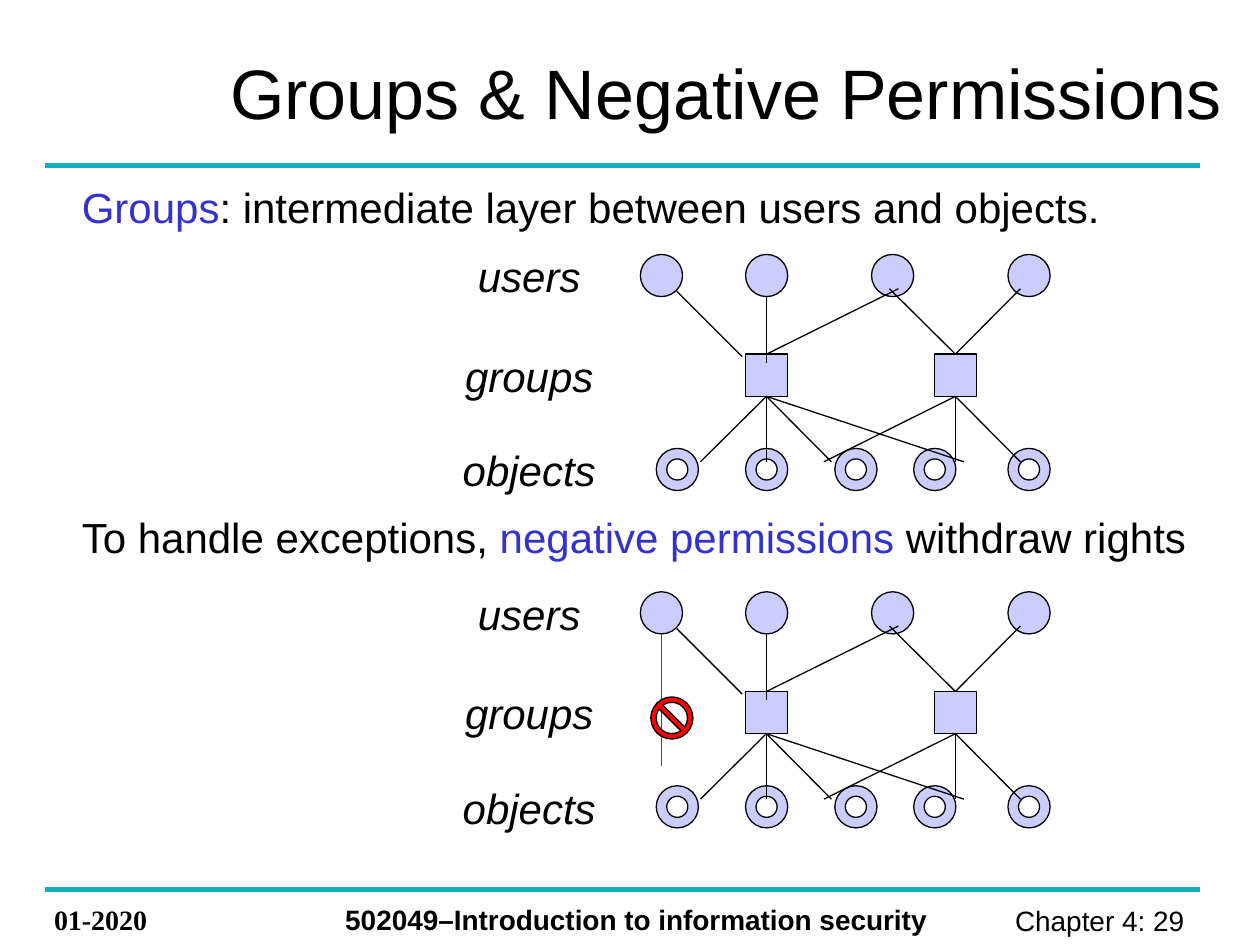
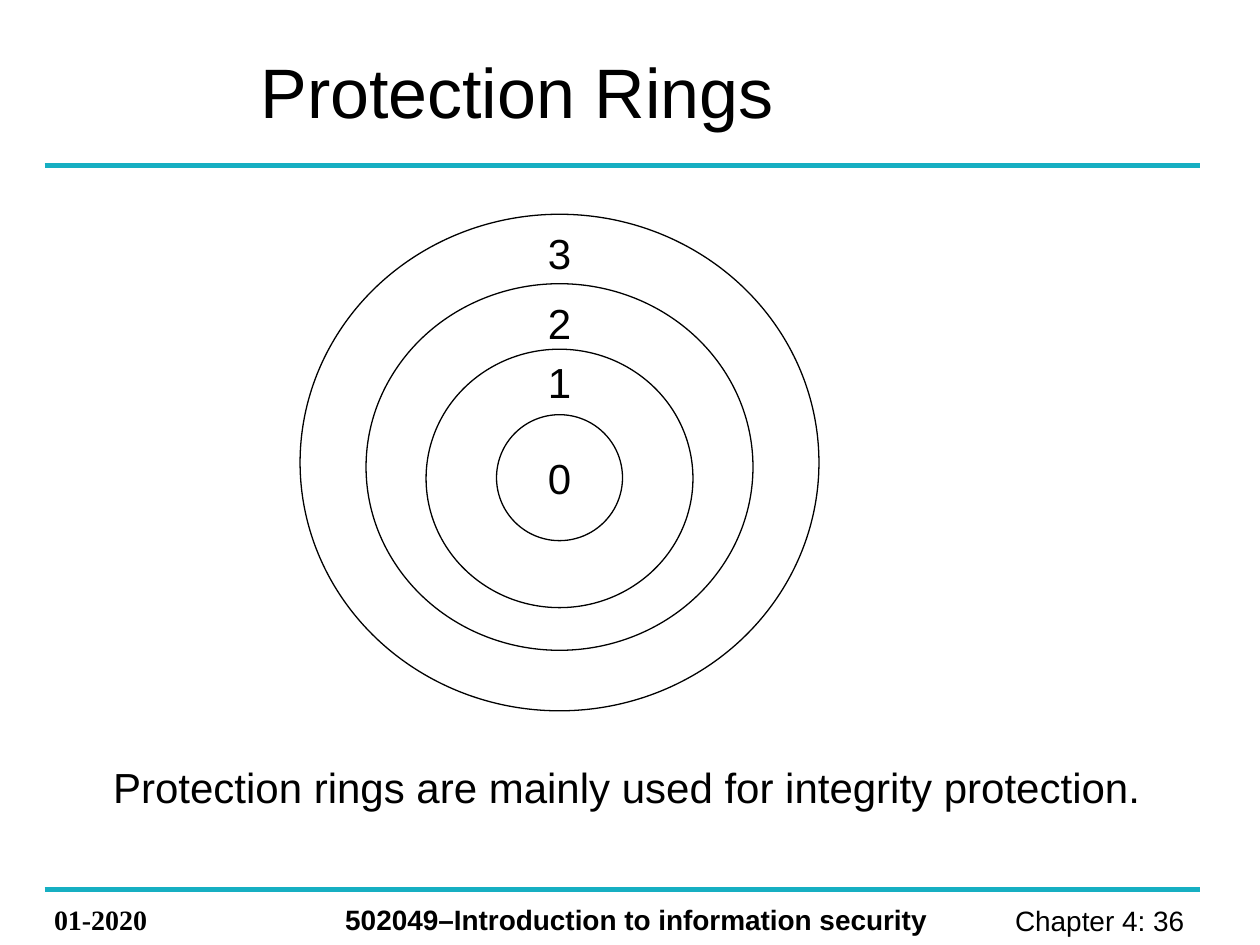
"""Builds two lecture slides on permission groups and protection rings."""
from pptx import Presentation, util as u
from pptx.dml import color
from pptx.enum import shapes, text
from pptx.oxml import ns
from lxml import etree

HUES = {"ink": "000000", "key": "3333CC", "node": "CCCCFF",
        "rule": "16AFC2", "stop": "FF0000"}
KIND = shapes.MSO_SHAPE
LEFT, MID, RIGHT = text.PP_ALIGN.LEFT, text.PP_ALIGN.CENTER, text.PP_ALIGN.RIGHT
NODE = 0.85
USERS = (12.91, 15.03, 17.57, 20.32)
GROUPS = (15.03, 18.84)
ITEMS = (13.23, 15.03, 16.83, 18.42, 20.32)
ROWS = {"users": 0, "groups": 2.01, "objects": 3.91}
JOINS = ((13.64, 0.74, 14.96, 2.06), (15.45, 0.85, 15.45, 2.19),
         (15.45, 2.01, 18.11, 0.69), (19.26, 2.01, 17.93, 0.69),
         (19.26, 2.01, 20.57, 0.69))
FANS = {15.45: (14.12, 15.45, 16.76, 19.43), 19.26: (16.61, 19.26, 20.57)}
RINGS = ((3, 4.32, 10.46, 10.01, 4.47), (2, 5.72, 7.8, 7.39, 5.87),
         (1, 7.04, 5.38, 5.21, 7.06))


def hue(name):
    return color.RGBColor.from_string(HUES[name])


class Deck:
    """Holds the shared style and the current slide."""

    def __init__(self):
        self.show = Presentation()
        self.show.slide_width, self.show.slide_height = u.Cm(25.4), u.Cm(19.05)

    def page(self, title, box, num):
        self.slide = self.show.slides.add_slide(self.show.slide_layouts[6])
        for y in (3.33, 17.93):
            self.line(0.9, y, 24.19, y, "rule", 3)
        self.label(f"Chapter 4: {num} ", (18.69, 18.08, 5.59, 0.94), 16, RIGHT)
        self.label("01-2020", (0.84, 18.06, 3.38, 0.94), 16,
                   font="Times New Roman", bold=True)
        self.label("502049–Introduction to information security",
                   (6.71, 18.06, 12.8, 0.94), 16, bold=True)
        head = self.label(title, box, 40)
        head.vertical_anchor = text.MSO_ANCHOR.MIDDLE

    def line(self, x1, y1, x2, y2, tint="ink", width=0.75):
        link = self.slide.shapes.add_connector(
            shapes.MSO_CONNECTOR.STRAIGHT, *map(u.Cm, (x1, y1, x2, y2)))
        link.line.color.rgb = hue(tint)
        link.line.width = u.Pt(width)
        etree.SubElement(link._element.spPr, ns.qn("a:effectLst"))

    def shape(self, kind, x, y, w=NODE, h=NODE, fill=None):
        item = self.slide.shapes.add_shape(kind, *map(u.Cm, (x, y, w, h)))
        item.shadow.inherit = False
        if fill:
            item.fill.solid()
            item.fill.fore_color.rgb = hue(fill)
        else:
            item.fill.background()
        item.line.color.rgb = hue("ink")
        item.line.width = u.Pt(0.75)
        return item

    def words(self, para, words, size=24, tint="ink", font="Arial",
              bold=False, slant=False):
        run = para.add_run()
        run.text = words
        face = run.font
        face.name, face.size = font, u.Pt(size)
        face.bold, face.italic = bold, slant
        face.color.rgb = hue(tint)

    def label(self, words, box, size=24, align=LEFT, **style):
        frame = self.slide.shapes.add_textbox(*map(u.Cm, box)).text_frame
        frame.word_wrap = True
        para = frame.paragraphs[0]
        para.alignment = align
        if words:
            self.words(para, words, size, **style)
        return frame

    def graph(self, top):
        nodes = ((KIND.OVAL, USERS, "users"), (KIND.RECTANGLE, GROUPS, "groups"),
                 (KIND.DONUT, ITEMS, "objects"))
        for kind, spots, row in nodes:
            y = top + ROWS[row]
            for x in spots:
                self.shape(kind, x, y, fill="node")
            self.label(row, (8.87, y - 0.2, 3.6, 1.27), align=MID, slant=True)
        for x1, y1, x2, y2 in JOINS:
            self.line(x1, top + y1, x2, top + y2)
        for x, ends in FANS.items():
            for end in ends:
                self.line(x, top + 2.86, end, top + 4.18)

    def veto(self, top):
        self.line(13.34, top + 0.85, 13.34, top + 3.52, "stop")
        sign = self.shape(KIND.NO_SYMBOL, 13.12, top + 2.12, fill="stop")
        sign.adjustments[0] = 0.13


def groups(deck):
    deck.page("Groups & Negative Permissions", (4.39, 0.58, 20.62, 2.54), 29)
    body = deck.label("", (0.43, 3.53, 23.93, 14.17))
    body.margin_left = u.Cm(1.22)
    first, last = body.paragraphs[0], body.add_paragraph()
    deck.words(first, "Groups", tint="key")
    deck.words(first, ": intermediate layer between users and objects.")
    last.space_before = u.Pt(160)
    deck.words(last, "To handle exceptions, ")
    deck.words(last, "negative permissions", tint="key")
    deck.words(last, " withdraw rights")
    for top in (5.13, 11.93):
        deck.graph(top)
    deck.veto(top)


def rings(deck):
    deck.page("Protection Rings", (5, 0.71, 20.4, 2.21), 36)
    axis = 11.28
    for num, top, w, h, y in RINGS:
        deck.shape(KIND.OVAL, axis - w / 2, top, w, h)
        deck.label(str(num), (axis - 0.6, y, 1.2, 1.27), align=MID)
    core = deck.shape(KIND.OVAL, axis - 1.27, 8.36, 2.54, 2.54)
    para = core.text_frame.paragraphs[0]
    para.alignment = MID
    deck.words(para, "0")
    note = deck.label("Protection rings are mainly used for integrity protection.",
                      (2.03, 15.09, 21.46, 1.45))
    deck.words(note.paragraphs[0], " ", 28, font="Times New Roman")


def main():
    deck = Deck()
    groups(deck)
    rings(deck)
    deck.show.save("out.pptx")


if __name__ == "__main__":
    main()
